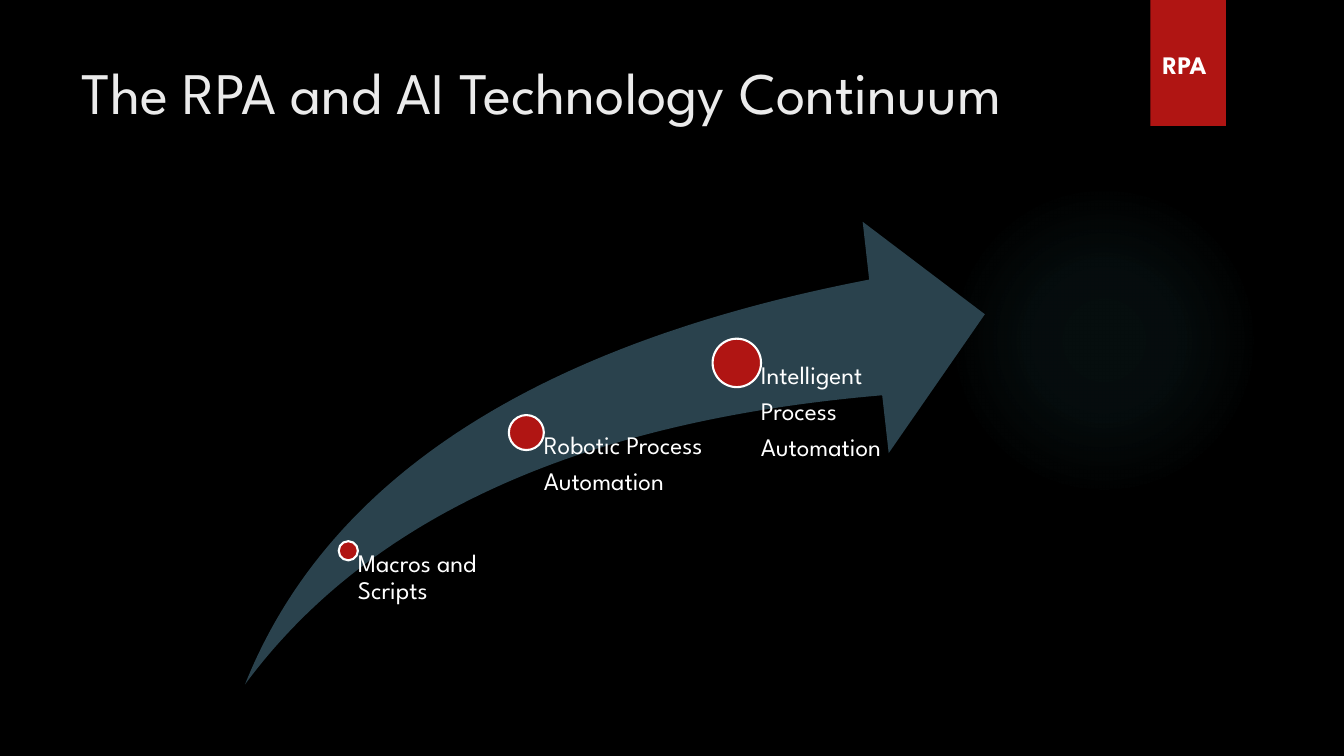
import pptx
import pptx.dml.color
import pptx.enum.shapes
import pptx.enum.text
import pptx.oxml
import pptx.oxml.ns
import pptx.util
from dataclasses import dataclass

Pt = pptx.util.Pt
Kind = pptx.enum.shapes.MSO_SHAPE


@dataclass
class Theme:
    font: str = "League Spartan"
    back: str = "000000"
    red: str = "B01513"
    slate: str = "2A424D"
    glow: str = "50B9C1"
    pale: str = "EBEBEB"
    white: str = "FFFFFF"
    head: float = 42
    body: float = 18


def color(code):
    return pptx.dml.color.RGBColor.from_string(code)


def write(frame, text, font, size, tint, bold=False, line=None, after=0):
    """Fill a text frame, one paragraph per line of text."""
    for i, part in enumerate(text.split("\n")):
        para = frame.paragraphs[0] if i == 0 else frame.add_paragraph()
        para.alignment = pptx.enum.text.PP_ALIGN.LEFT
        para.line_spacing = line
        para.space_after = Pt(after)
        run = para.add_run()
        run.text = part
        run.font.name = font
        run.font.size = Pt(size)
        run.font.bold = bold
        run.font.color.rgb = color(tint)


class Page:
    def __init__(self, slide, theme):
        self.slide = slide
        self.theme = theme
        fill = slide.background.fill
        fill.solid()
        fill.fore_color.rgb = color(theme.back)

    def shape(self, kind, x, y, w, h, fill, edge=None):
        item = self.slide.shapes.add_shape(kind, Pt(x), Pt(y), Pt(w), Pt(h))
        item.shadow.inherit = False
        item.fill.solid()
        item.fill.fore_color.rgb = color(fill)
        if edge:
            item.line.color.rgb = color(edge)
            item.line.width = Pt(1.5)
        else:
            item.line.fill.background()
        return item

    def halo(self, x, y, size, stops):
        """Circle that fades outward; stops are (place, opacity) in percent."""
        item = self.shape(Kind.OVAL, x, y, size, size, self.theme.glow)
        marks = "".join(
            f'<a:gs pos="{place * 1000}"><a:srgbClr val="{self.theme.glow}">'
            f'<a:alpha val="{alpha * 1000}"/></a:srgbClr></a:gs>'
            for place, alpha in stops)
        grad = pptx.oxml.parse_xml(
            f'<a:gradFill {pptx.oxml.ns.nsdecls("a")}><a:gsLst>{marks}</a:gsLst>'
            '<a:path path="circle"><a:fillToRect l="50000" t="50000" '
            'r="50000" b="50000"/></a:path></a:gradFill>')
        props = item._element.spPr
        props.replace(props.find(pptx.oxml.ns.qn("a:solidFill")), grad)

    def text(self, text, x, y, w, h, inset=None, **style):
        box = self.slide.shapes.add_textbox(Pt(x), Pt(y), Pt(w), Pt(h))
        frame = box.text_frame
        frame.word_wrap = True
        if inset is not None:
            frame.margin_left = Pt(inset)
            frame.margin_top = frame.margin_right = frame.margin_bottom = 0
        look = dict(font=self.theme.font, size=self.theme.body,
                    tint=self.theme.white)
        write(frame, text, **{**look, **style})

    def stage(self, text, x, y, size, width, base):
        """Dot centred on x, y with its label hanging from the centre."""
        half = size / 2
        self.shape(Kind.OVAL, x - half, y - half, size, size,
                   self.theme.red, edge=self.theme.white)
        self.text(text, x, y, width, base - y, inset=half, line=0.9,
                  after=0.35 * self.theme.body)


def main():
    deck = pptx.Presentation()
    deck.slide_width, deck.slide_height = Pt(960), Pt(540)
    theme = Theme()
    page = Page(deck.slides.add_slide(deck.slide_layouts[6]), theme)

    # Backdrop: soft glow and red tab
    page.halo(677.5, 131.8, 221.8, [(0, 7), (36, 6), (69, 0)])
    page.shape(Kind.RECTANGLE, 821.7, 0, 54, 90, theme.red)

    # Title
    page.text("The RPA and AI Technology Continuum", 51.1, 36, 741, 110,
              size=theme.head, tint=theme.pale)

    # Rising arrow
    top, tall = 158.4, 330.5
    arrow = page.shape(Kind.SWOOSH_ARROW, 175, top, 528.5, tall, theme.slate)
    arrow.adjustments[0] = arrow.adjustments[1] = 0.25

    # Stages along the arrow: label, centre, dot size, label width
    stages = [
        ("Macros and Scripts", 248.8, 393.4, 13.7, 123),
        ("Robotic Process\nAutomation", 376, 309, 25, 126.7),
        ("Intelligent\nProcess\nAutomation", 526.3, 259.2, 34.6, 126.7),
    ]
    for stage in stages:
        page.stage(*stage, base=top + tall)

    # Tab label
    page.text("RPA", 823.4, 31.7, 51, 29, bold=True)

    deck.save("out.pptx")


if __name__ == "__main__":
    main()
